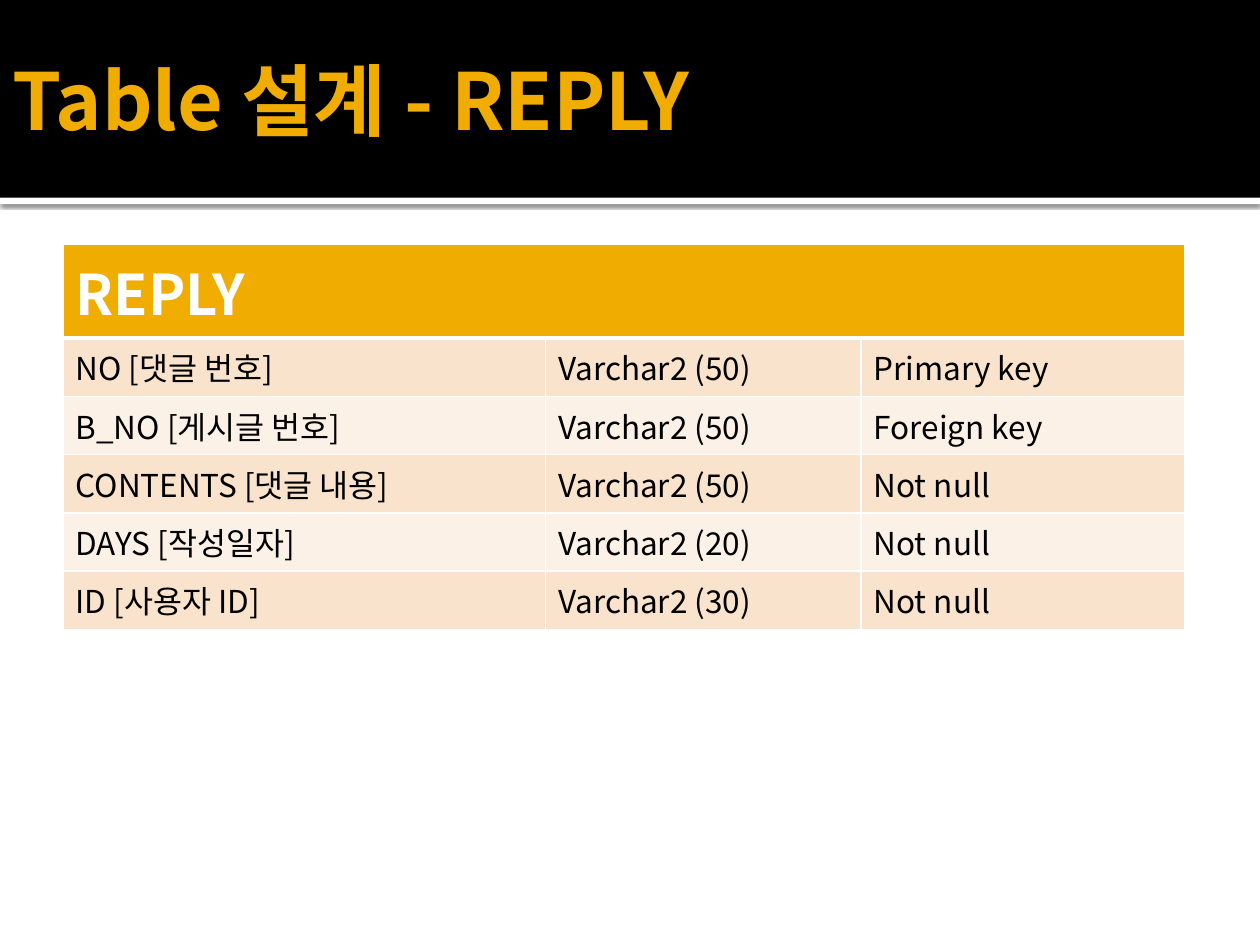
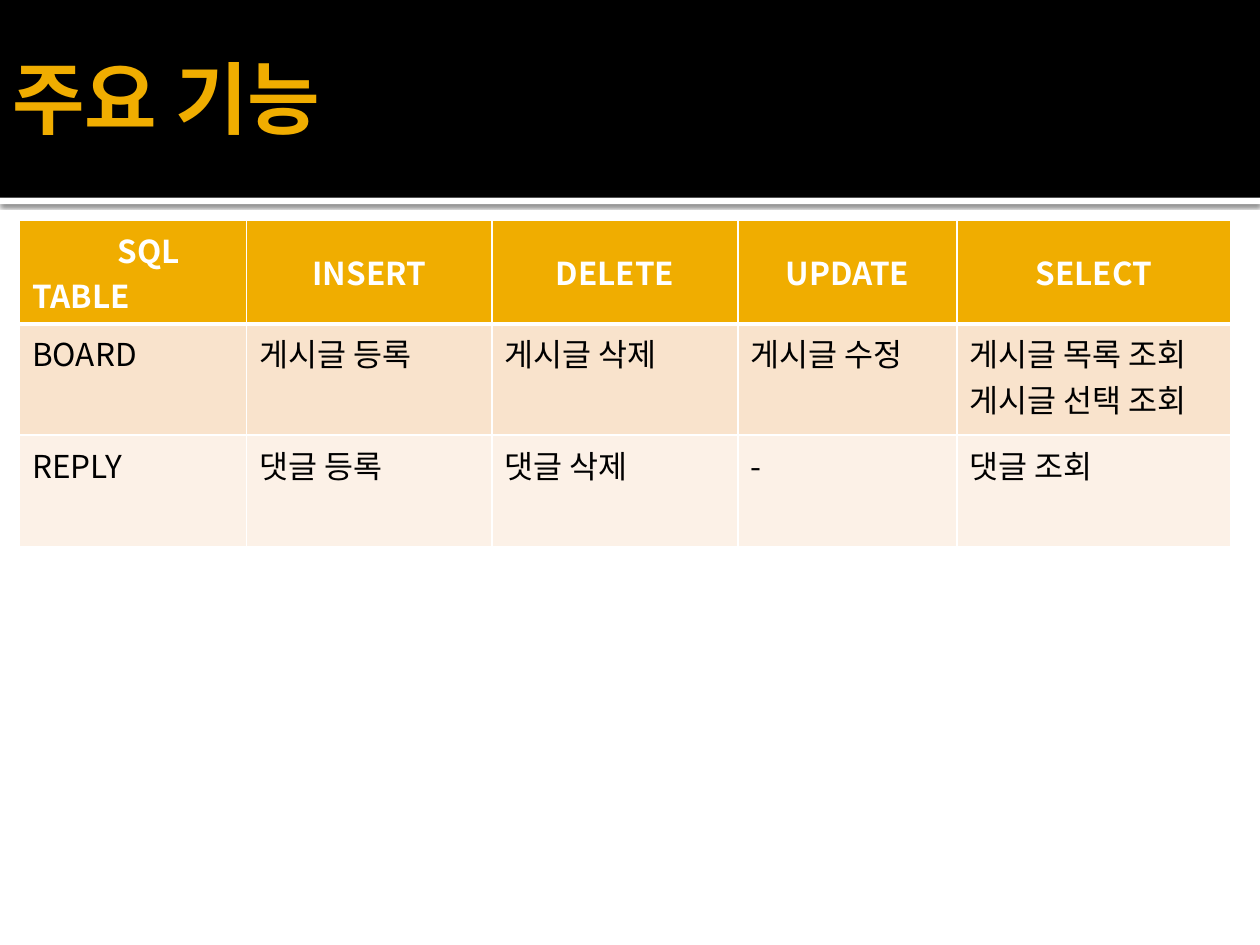
import pptx
import pptx.util
import pptx.dml.color
import pptx.enum.shapes
import pptx.enum.text
import pptx.oxml
import pptx.oxml.ns
import lxml.etree

SLIDE_WIDTH = pptx.util.Inches(10)
SLIDE_HEIGHT = pptx.util.Inches(7.5)
FONT = "Noto Sans CJK KR"
WHITE, BLACK, GOLD = "FFFFFF", "000000", "F0AD00"
STRIPES = ("F9E3CC", "FCF1E7")
BAND_HEIGHT = 20.93
STRIP_HEIGHT = 0.67
MIDDLE = pptx.enum.text.MSO_ANCHOR.MIDDLE
CENTER = pptx.enum.text.PP_ALIGN.CENTER


def across(percent):
    return round(SLIDE_WIDTH * percent / 100)


def down(percent):
    return round(SLIDE_HEIGHT * percent / 100)


def paint(target, color):
    target.solid()
    target.fore_color.rgb = pptx.dml.color.RGBColor.from_string(color)


def write(frame, text, size, color, bold, align=None):
    frame.text = text
    for paragraph in frame.paragraphs:
        paragraph.alignment = align
        for run in paragraph.runs:
            run.font.size = pptx.util.Pt(size)
            run.font.bold = bold
            run.font.name = FONT
            paint(run.font.fill, color)
            run.font._element.set("kern", "0")
            east_asian = lxml.etree.SubElement(run.font._element, pptx.oxml.ns.qn("a:ea"))
            east_asian.set("typeface", FONT)


def add_band(slide, top, height, color):
    band = slide.shapes.add_shape(
        pptx.enum.shapes.MSO_SHAPE.RECTANGLE, 0, down(top), SLIDE_WIDTH, down(height))
    paint(band.fill, color)
    band.line.fill.background()
    band.shadow.inherit = False
    return band


def cast_shadow(band):
    effects = band._element.spPr.find(pptx.oxml.ns.qn("a:effectLst"))
    effects.append(pptx.oxml.parse_xml(
        f'<a:outerShdw {pptx.oxml.ns.nsdecls("a")} blurRad="{pptx.util.Pt(2.5)}" '
        f'dist="{pptx.util.Pt(0.8)}" dir="5400000" algn="t" rotWithShape="0">'
        f'<a:srgbClr val="{BLACK}"><a:alpha val="60000"/></a:srgbClr></a:outerShdw>'))


def add_title(slide, text, height):
    title = slide.shapes.add_textbox(0, 0, across(95), down(height))
    frame = title.text_frame
    frame.word_wrap = True
    frame.vertical_anchor = MIDDLE
    frame.margin_left = pptx.util.Inches(0.1)
    frame.margin_right = frame.margin_top = frame.margin_bottom = pptx.util.Inches(0.05)
    write(frame, text, 45, GOLD, True)


def start_slide(deck, title, title_height):
    slide = deck.slides.add_slide(deck.slide_layouts[6])
    paint(slide.background.fill, WHITE)
    cast_shadow(add_band(slide, BAND_HEIGHT, STRIP_HEIGHT, WHITE))
    add_band(slide, 0, BAND_HEIGHT, BLACK)
    add_title(slide, title, title_height)
    return slide


def rule_cell(cell, top, bottom):
    properties = cell._tc.get_or_add_tcPr()
    for side, points in (("L", 1), ("R", 1), ("T", top), ("B", bottom)):
        properties.append(pptx.oxml.parse_xml(
            f'<a:ln{side} {pptx.oxml.ns.nsdecls("a")} w="{pptx.util.Pt(points)}">'
            f'<a:solidFill><a:srgbClr val="{WHITE}"/></a:solidFill></a:ln{side}>'))


def add_grid(slide, left, top, columns, header_height, row_height, rows, header_size, header_align):
    heights = [header_height] + [row_height] * (len(rows) - 1)
    frame = slide.shapes.add_table(
        len(rows), len(columns), across(left), down(top), across(sum(columns)), down(sum(heights)))
    grid = frame.table
    for column, width in zip(grid.columns, columns):
        column.width = across(width)
    for row, height in zip(grid.rows, heights):
        row.height = down(height)
    for r, texts in enumerate(rows):
        for c, text in enumerate(texts):
            cell = grid.cell(r, c)
            rule_cell(cell, 3 if r == 1 else 1, 3 if r == 0 else 1)
            if r == 0:
                paint(cell.fill, GOLD)
                write(cell.text_frame, text, header_size, WHITE, True, header_align)
                if header_align:
                    cell.vertical_anchor = MIDDLE
            else:
                paint(cell.fill, STRIPES[(r - 1) % 2])
                write(cell.text_frame, text, 18, BLACK, False)
    return grid


def add_reply_design(deck):
    slide = start_slide(deck, "Table 설계 - REPLY", 20.93)
    rows = [
        ("REPLY", "", ""),
        ("NO [댓글 번호]", "Varchar2 (50)", "Primary key"),
        ("B_NO [게시글 번호]", "Varchar2 (50)", "Foreign key"),
        ("CONTENTS [댓글 내용]", "Varchar2 (50)", "Not null"),
        ("DAYS [작성일자]", "Varchar2 (20)", "Not null"),
        ("ID [사용자 ID]", "Varchar2 (30)", "Not null"),
    ]
    fields = add_grid(slide, 5, 25.87, (38.3, 25.05, 25.7), 9.9, 6.17, rows, 32, None)
    fields.cell(0, 0).merge(fields.cell(0, 2))


def add_main_functions(deck):
    slide = start_slide(deck, "주요 기능", 20.53)
    rows = [
        ("SQL\nTABLE", "INSERT", "DELETE", "UPDATE", "SELECT"),
        ("BOARD", "게시글 등록", "게시글 삭제", "게시글 수정", "게시글 목록 조회\n게시글 선택 조회"),
        ("REPLY", "댓글 등록", "댓글 삭제", "-", "댓글 조회"),
    ]
    functions = add_grid(
        slide, 1.56, 23.33, (18, 19.5, 19.5, 17.4, 21.7), 10.95, 11.78, rows, 18, CENTER)
    corner = functions.cell(0, 0)
    corner.vertical_anchor = pptx.enum.text.MSO_ANCHOR.TOP
    for paragraph in corner.text_frame.paragraphs:
        paragraph.alignment = pptx.enum.text.PP_ALIGN.LEFT
    sql = corner.text_frame.paragraphs[0]
    sql._p.get_or_add_pPr().set("marL", str(across(6.8)))


def main():
    deck = pptx.Presentation()
    deck.slide_width = SLIDE_WIDTH
    deck.slide_height = SLIDE_HEIGHT
    add_reply_design(deck)
    add_main_functions(deck)
    deck.save("out.pptx")


main()
